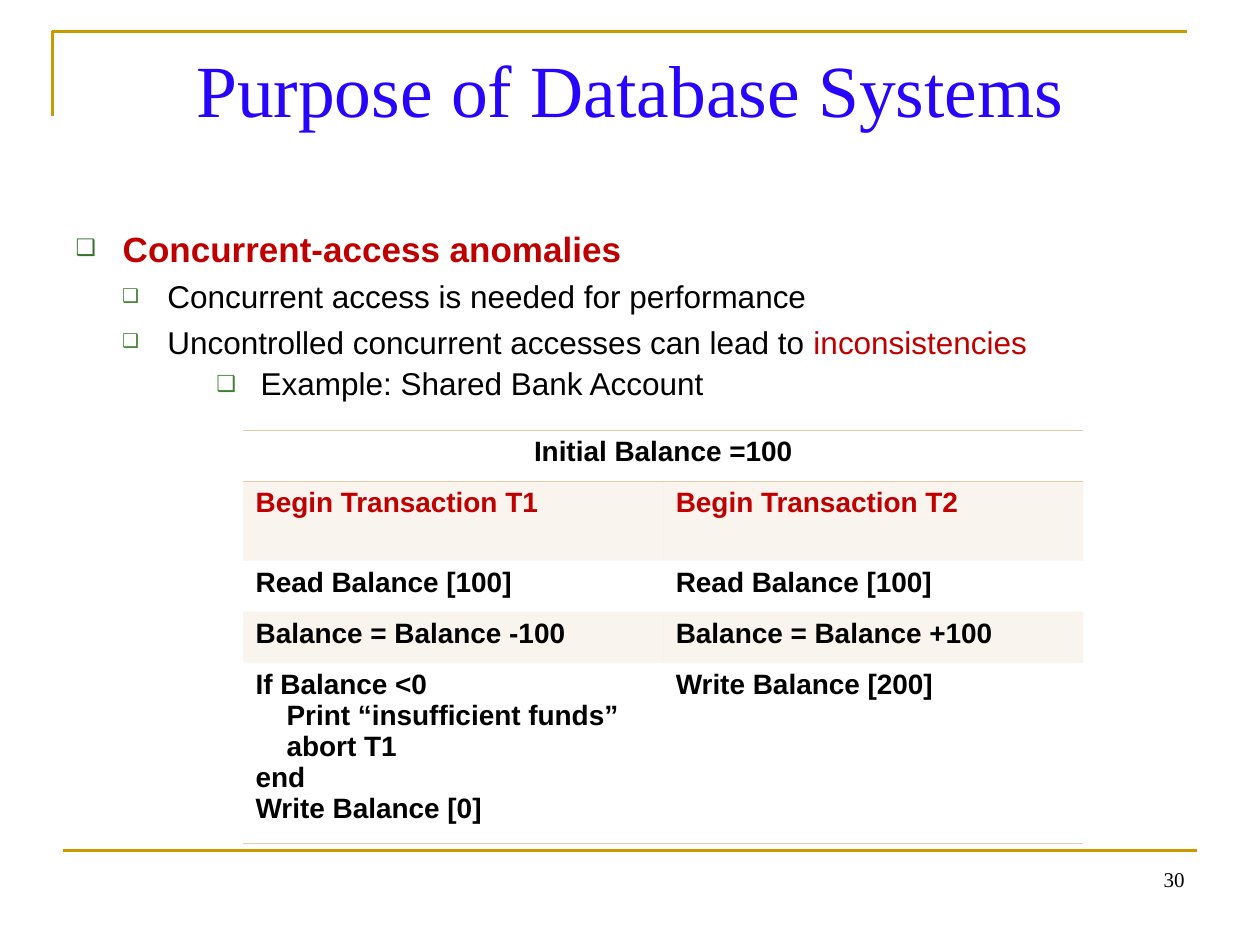
from lxml.etree import SubElement
from pptx import Presentation
from pptx.dml.color import RGBColor
from pptx.enum.shapes import MSO_CONNECTOR as Connector
from pptx.enum.text import MSO_ANCHOR as Anchor, MSO_AUTO_SIZE as AutoSize, PP_ALIGN as Align
from pptx.oxml.ns import qn
from pptx.util import Cm, Pt

GOLD, BLUE, RED, BLACK, SAND = "CC9900", "2704FC", "C00000", "000000", "E2CAAA"
SANS, SERIF = "Arial", "Times New Roman"
PLAIN_TABLE = "{2D5ABB26-0587-4C30-8999-92F81FD0307C}"


def color(value):
    return RGBColor.from_string(value)


def add_solid(parent, value):
    fill = SubElement(parent, qn("a:solidFill"))
    SubElement(fill, qn("a:srgbClr"), val=value)


class Slide:
    def __init__(self, deck):
        self.page = deck.slides.add_slide(deck.slide_layouts[1])
        self.shapes = self.page.shapes

    def font(self, target, size, ink, name=SANS, bold=False):
        font = target.font
        font.name, font.size, font.bold = name, Pt(size), bold
        font.color.rgb = color(ink)

    def place(self, box, left, top, width, height):
        box.left, box.top, box.width, box.height = map(Cm, (left, top, width, height))
        frame = box.text_frame
        frame.word_wrap, frame.auto_size = True, AutoSize.NONE
        frame.vertical_anchor = Anchor.TOP
        return frame

    def rule(self, *ends):
        line = self.shapes.add_connector(Connector.STRAIGHT, *map(Cm, ends))
        self.stroke(line)
        SubElement(line._element.spPr, qn("a:effectLst"))

    def corner(self, *points):
        start, *rest = [tuple(map(Cm, point)) for point in points]
        builder = self.shapes.build_freeform(*start)
        builder.add_line_segments(rest, close=False)
        shape = builder.convert_to_shape()
        shape.shadow.inherit = False
        shape.fill.background()
        self.stroke(shape)

    def stroke(self, shape):
        shape.line.color.rgb = color(GOLD)
        shape.line.width = Pt(1.5)

    def line_of_text(self, box, area, text, align, size, ink):
        para = self.place(box, *area).paragraphs[0]
        para.text, para.alignment = text, align
        self.font(para, size, ink, SERIF)

    def bullet(self, para, left, hanging, ink, percent):
        props = para._p.get_or_add_pPr()
        props.set("marL", str(Cm(left)))
        props.set("indent", str(-Cm(hanging)))
        mark = SubElement(props, qn("a:buClr"))
        SubElement(mark, qn("a:srgbClr"), val=ink)
        SubElement(props, qn("a:buSzPct"), val=str(percent * 1000))
        SubElement(props, qn("a:buChar"), char="❑")

    def bullets(self, area, items):
        frame = self.place(self.shapes.placeholders[1], *area)
        for index, (level, spans, size, bold, mark) in enumerate(items):
            para = frame.paragraphs[0] if index == 0 else frame.add_paragraph()
            para.level = level
            para.space_before = Pt(4.5 if index else 0)
            para.line_spacing = 0.9 if level == 3 else 1.0
            self.bullet(para, *mark)
            self.font(para, size, spans[0][1], SANS, bold)
            for text, ink in spans:
                span = para.add_run()
                span.text = text
                span.font.color.rgb = color(ink)

    def border(self, cell, *sides):
        props = cell._tc.get_or_add_tcPr()
        for side in sides:
            add_solid(SubElement(props, qn(f"a:{side}"), w=str(Pt(0.45))), SAND)

    def shade(self, cell, percent):
        cell.fill.solid()
        cell.fill.fore_color.rgb = color(SAND)
        tint = cell._tc.tcPr.find(qn("a:solidFill"))[0]
        SubElement(tint, qn("a:alpha"), val=str(percent * 1000))

    def table(self, area, heights, rows):
        frame = self.shapes.add_table(len(rows), 2, *map(Cm, area))
        table = frame.table
        table.first_row = table.horz_banding = False
        table._tbl.tblPr.find(qn("a:tableStyleId")).text = PLAIN_TABLE
        for r, (height, texts) in enumerate(zip(heights, rows)):
            table.rows[r].height = Cm(height)
            for c, text in enumerate(texts):
                cell = table.cell(r, c)
                cell.text = text
                for para in cell.text_frame.paragraphs:
                    self.font(para, 16, RED if r == 1 else BLACK, SANS, True)
                if r == 0:
                    self.border(cell, "lnT", "lnB")
                elif r == len(rows) - 1:
                    self.border(cell, "lnB")
                if r % 2:
                    self.shade(cell, 20)
                else:
                    cell.fill.background()
        table.cell(0, 0).merge(table.cell(0, 1))
        table.cell(0, 0).text_frame.paragraphs[0].alignment = Align.CENTER


def main():
    deck = Presentation()
    deck.slide_width, deck.slide_height = Cm(25.4), Cm(19.05)
    slide = Slide(deck)

    # Frame lines
    slide.corner((1.06, 2.33), (1.06, 0.64), (23.92, 0.64))
    slide.rule(1.27, 17.15, 24.13, 17.15)

    # Title and slide number
    slide.line_of_text(slide.shapes.title, (1.27, 0.76, 22.86, 3.18),
                       "Purpose of Database Systems", Align.CENTER, 42, BLUE)
    number = slide.shapes.add_textbox(0, 0, 0, 0)
    slide.line_of_text(number, (18.2, 17.35, 5.93, 1.32), "30", Align.RIGHT, 12, BLACK)

    # Bullet list: level, spans, size, bold, (left, hanging, colour, percent)
    second = (1.85, 0.91, "3B812F", 60)
    slide.bullets((1.27, 4.45, 22.86, 12.57), [
        (0, [("Concurrent-access anomalies", RED)], 20, True, (0.95, 0.95, "35742A", 65)),
        (1, [("Concurrent access is needed for performance", BLACK)], 18, False, second),
        (1, [("Uncontrolled concurrent accesses can lead to ", BLACK),
             ("inconsistencies", RED)], 18, False, second),
        (3, [("Example: Shared Bank Account", BLACK)], 18, False, (3.73, 0.89, "3B812F", 70)),
    ])

    # Transaction table
    check = ["If Balance <0", "    Print “insufficient funds”", "    abort T1",
             "end", "Write Balance [0]"]
    slide.table((4.9, 8.67, 16.94, 8.35), (1.03, 1.6, 1.03, 1.03, 3.64), [
        ("Initial Balance =100", ""),
        ("Begin Transaction T1", "Begin Transaction T2"),
        ("Read Balance [100]", "Read Balance [100]"),
        ("Balance = Balance -100", "Balance = Balance +100"),
        ("\n".join(check), "Write Balance [200]"),
    ])
    deck.save("out.pptx")


if __name__ == "__main__":
    main()
